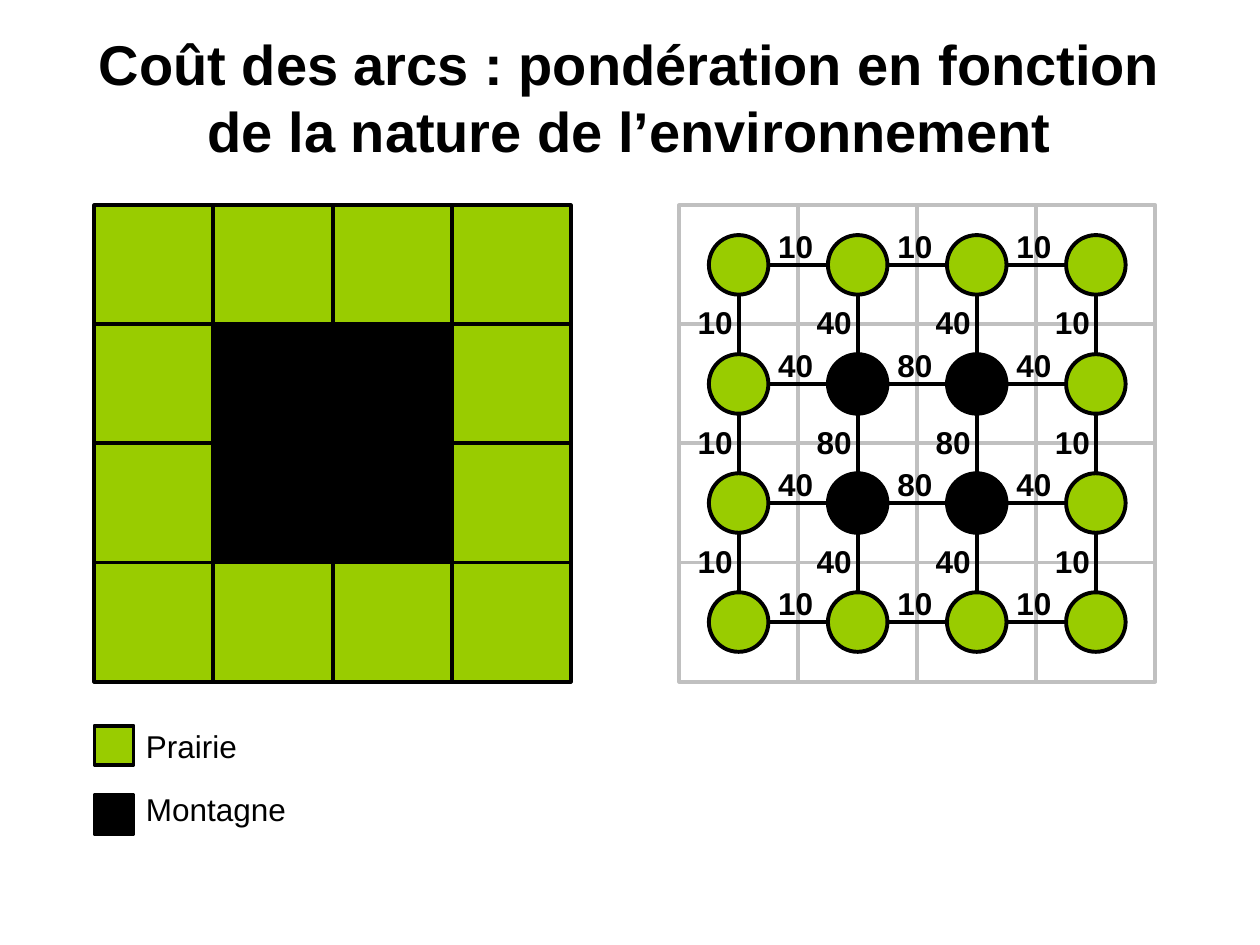
from dataclasses import dataclass
from itertools import product
from lxml.etree import SubElement
from pptx import Presentation
from pptx.dml.color import RGBColor
from pptx.enum.shapes import MSO_CONNECTOR, MSO_SHAPE
from pptx.enum.text import MSO_ANCHOR, MSO_AUTO_SIZE, PP_ALIGN
from pptx.oxml.ns import qn
from pptx.util import Inches, Pt


@dataclass(frozen=True)
class Theme:
    font: str = "Arial"
    ink: str = "000000"
    prairie: str = "99CC00"
    mountain: str = "000000"
    grid: str = "C0C0C0"
    title: int = 32
    body: int = 18
    stroke: float = 2.25


THEME = Theme()
TITLE = "Coût des arcs : pondération en fonction de la nature de l’environnement"
TERRAIN = ["PPPP", "PMMP", "PMMP", "PPPP"]
FILLS = {"P": THEME.prairie, "M": THEME.mountain}
COST_BY_MOUNTAINS = [10, 40, 80]
LEGEND = [("Prairie", "P", 5.76, 5.72), ("Montagne", "M", 6.31, 6.22)]

SIZE = len(TERRAIN)
CELL = 0.945
NODE = CELL / 2
LEFT, TOP = 0.75, 1.63
GRAPH_LEFT = 5.39
LABEL_WIDTH, LABEL_HEIGHT = 0.55, 0.4
ACROSS_LABEL = (0.65, 0.12)
DOWN_LABEL = (0.01, 0.73)
KEY_SIDE = 0.31


def write(box, text, size=THEME.body, bold=False, align=PP_ALIGN.LEFT,
          anchor=MSO_ANCHOR.TOP):
    frame = box.text_frame
    frame.word_wrap = True
    frame.auto_size = MSO_AUTO_SIZE.NONE
    frame.vertical_anchor = anchor
    para = frame.paragraphs[0]
    para.alignment = align
    span = para.add_run()
    span.text = text
    span.font.name = THEME.font
    span.font.size = Pt(size)
    span.font.bold = bold
    span.font.color.rgb = RGBColor.from_string(THEME.ink)


def add_label(shapes, text, left, top, width=LABEL_WIDTH, **style):
    box = shapes.add_textbox(*map(Inches, (left, top, width, LABEL_HEIGHT)))
    write(box, text, **style)


def add_figure(shapes, kind, left, top, side, fill=None, line=THEME.ink):
    figure = shapes.add_shape(kind, *map(Inches, (left, top, side, side)))
    figure.shadow.inherit = False
    if fill:
        figure.fill.solid()
        figure.fill.fore_color.rgb = RGBColor.from_string(fill)
    else:
        figure.fill.background()
    figure.line.color.rgb = RGBColor.from_string(line)
    figure.line.width = Pt(THEME.stroke)


def add_edge(shapes, *ends):
    edge = shapes.add_connector(MSO_CONNECTOR.STRAIGHT, *map(Inches, ends))
    edge.line.color.rgb = RGBColor.from_string(THEME.ink)
    edge.line.width = Pt(THEME.stroke)
    SubElement(edge._element.spPr, qn("a:effectLst"))


def corner(left, row, column):
    return left + column * CELL, TOP + row * CELL


def cost(*cells):
    mountains = sum(TERRAIN[row][column] == "M" for row, column in cells)
    return str(COST_BY_MOUNTAINS[mountains])


def draw_map(shapes):
    for row, column in product(range(SIZE), repeat=2):
        add_figure(shapes, MSO_SHAPE.RECTANGLE, *corner(LEFT, row, column), CELL,
                   fill=FILLS[TERRAIN[row][column]])


def draw_graph(shapes):
    cells = list(product(range(SIZE), repeat=2))
    for row, column in cells:
        add_figure(shapes, MSO_SHAPE.RECTANGLE, *corner(GRAPH_LEFT, row, column),
                   CELL, line=THEME.grid)
    labels = []
    for row, column in cells:
        x, y = corner(GRAPH_LEFT, row, column)
        middle_x, middle_y = x + CELL / 2, y + CELL / 2
        for down, right, (shift_x, shift_y) in ((0, 1, ACROSS_LABEL), (1, 0, DOWN_LABEL)):
            target = row + down, column + right
            if max(target) < SIZE:
                start_x = middle_x + right * NODE / 2
                start_y = middle_y + down * NODE / 2
                add_edge(shapes, start_x, start_y,
                         start_x + right * NODE, start_y + down * NODE)
                labels.append((cost((row, column), target), x + shift_x, y + shift_y))
    for row, column in cells:
        x, y = corner(GRAPH_LEFT, row, column)
        add_figure(shapes, MSO_SHAPE.OVAL, x + NODE / 2, y + NODE / 2, NODE,
                   fill=FILLS[TERRAIN[row][column]])
    for label in labels:
        add_label(shapes, *label, bold=True, align=PP_ALIGN.CENTER)


def draw_legend(shapes):
    for name, kind, key_top, text_top in LEGEND:
        add_figure(shapes, MSO_SHAPE.RECTANGLE, LEFT, key_top, KEY_SIDE, fill=FILLS[kind])
        add_label(shapes, name, LEFT + KEY_SIDE, text_top, width=1.97)


def main():
    deck = Presentation()
    deck.slide_width, deck.slide_height = Inches(10), Inches(7.5)
    page = deck.slides.add_slide(deck.slide_layouts[5])
    title = page.shapes.title
    title.left, title.top, title.width, title.height = map(Inches, (0.5, 0.3, 9, 0.93))
    write(title, TITLE, size=THEME.title, bold=True, align=PP_ALIGN.CENTER,
          anchor=MSO_ANCHOR.MIDDLE)
    draw_map(page.shapes.add_group_shape().shapes)
    draw_graph(page.shapes.add_group_shape().shapes)
    draw_legend(page.shapes)
    deck.save("out.pptx")


if __name__ == "__main__":
    main()
